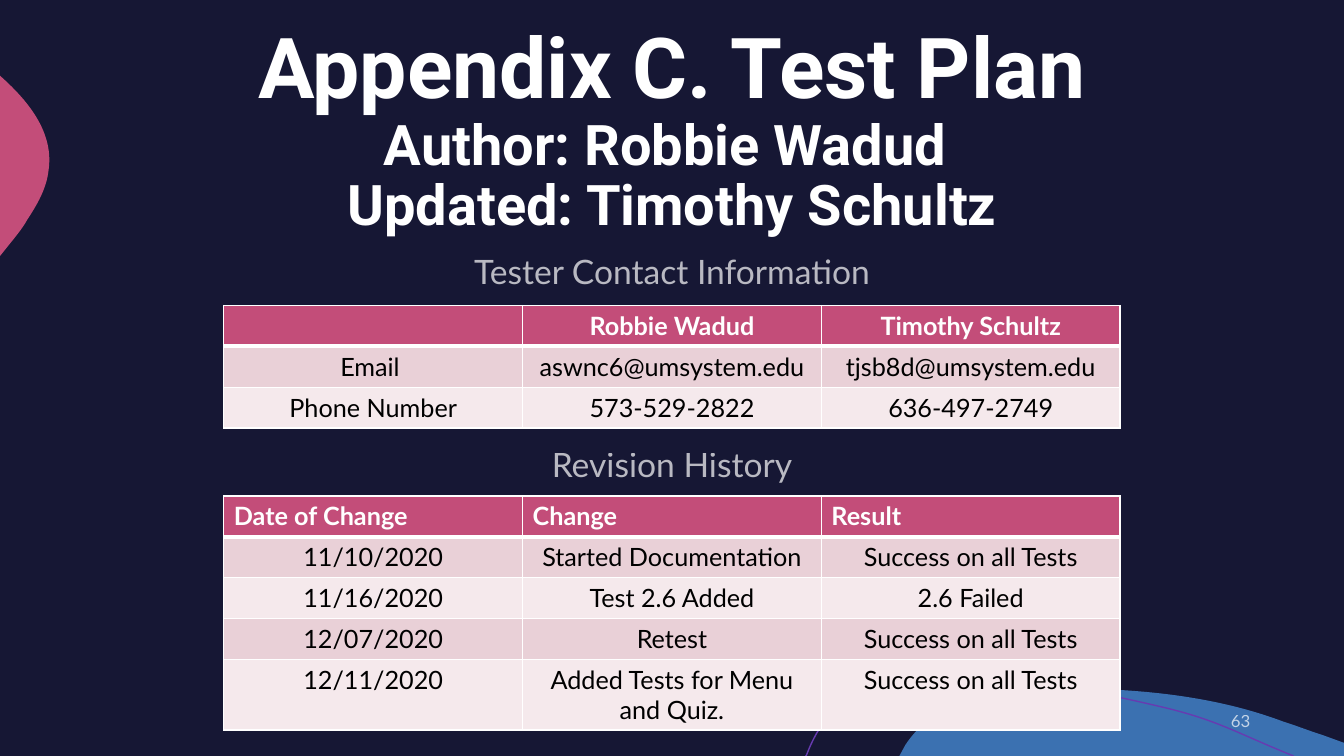
from lxml.etree import SubElement
from pptx import Presentation
from pptx.dml.color import RGBColor
from pptx.enum.text import MSO_ANCHOR, PP_ALIGN
from pptx.oxml import parse_xml
from pptx.oxml.ns import nsdecls, qn
from pptx.util import Inches, Pt

NAVY = RGBColor(0x16, 0x17, 0x34)
BLUE = RGBColor(0x3B, 0x71, 0xB1)
PINK = RGBColor(0xC3, 0x4D, 0x79)
PURPLE = RGBColor(0x67, 0x3B, 0xB1)
WHITE = RGBColor(0xFF, 0xFF, 0xFF)
BLACK = RGBColor(0x00, 0x00, 0x00)
BANDS = (RGBColor(0xF5, 0xE9, 0xEC), RGBColor(0xE9, 0xD0, 0xD7))

ROW_POINTS = 29.2

BLUE_WAVE = [
    (10.54, 6.83),
    (11.28, 6.83, 12.04, 6.9, 12.73, 7.16),
    (12.86, 7.2, 12.98, 7.25, 13.11, 7.29),
    (13.33, 7.37), (13.33, 7.5), (8.92, 7.5), (8.98, 7.39),
    (9.02, 7.33, 9.06, 7.28, 9.11, 7.23),
    (9.39, 6.93, 9.82, 6.84, 10.23, 6.83),
    (10.33, 6.83, 10.43, 6.83, 10.54, 6.83),
]
PINK_BULGE = [
    (0, 0.75), (0.01, 0.76),
    (0.3, 1.02, 0.54, 1.33, 0.48, 1.7),
    (0.46, 1.87, 0.37, 2.03, 0.27, 2.18),
    (0.24, 2.24, 0.17, 2.33, 0.08, 2.44),
    (0, 2.54),
]
PURPLE_WAVE = [
    (7.99, 7.5), (8, 7.49),
    (8.06, 7.33, 8.14, 7.19, 8.24, 7.08),
    (8.5, 6.81, 8.89, 6.73, 9.26, 6.72),
    (9.55, 6.72),
    (10.22, 6.72, 11, 6.89, 11.55, 7.02),
    (12.09, 7.15, 12.26, 7.27, 12.83, 7.5),
]

CONTACTS = [
    ("", "Robbie Wadud", "Timothy Schultz"),
    ("Email ", "aswnc6@umsystem.edu", "tjsb8d@umsystem.edu"),
    ("Phone Number", "573-529-2822", "636-497-2749"),
]
REVISIONS = [
    ("Date of Change", "Change", "Result"),
    ("11/10/2020", "Started Documentation", "Success on all Tests"),
    ("11/16/2020", "Test 2.6 Added", "2.6 Failed"),
    ("12/07/2020", "Retest", "Success on all Tests"),
    ("12/11/2020", "Added Tests for Menu and Quiz.", "Success on all Tests"),
]


def write_text(paragraph, text, *, size=18, font="Lato", color=WHITE,
               bold=False, align=PP_ALIGN.CENTER, alpha=None):
    paragraph.alignment = align
    run = paragraph.add_run()
    run.text = text
    run.font.size = Pt(size)
    run.font.name = font
    run.font.bold = bold
    run.font.color.rgb = color
    if alpha is not None:
        tint = run.font.fill._xPr.find(qn("a:solidFill"))[0]
        SubElement(tint, qn("a:alpha")).set("val", str(alpha * 1000))


def add_text_area(slide, left, top, width, height, anchor=MSO_ANCHOR.MIDDLE):
    area = slide.shapes.add_textbox(
        Inches(left), Inches(top), Inches(width), Inches(height))
    area.text_frame.word_wrap = True
    area.text_frame.vertical_anchor = anchor
    return area.text_frame


def add_wave(slide, segments, *, fill=None, line=None):
    anchors = [(Inches(s[-2]), Inches(s[-1])) for s in segments]
    builder = slide.shapes.build_freeform(*anchors[0])
    builder.add_line_segments(anchors[1:], close=fill is not None)
    wave = builder.convert_to_shape()
    edges = list(wave._element.iter(qn("a:lnTo")))
    for edge, segment in zip(edges, segments[1:]):
        if len(segment) == 6:
            edge.tag = qn("a:cubicBezTo")
            for index, (x, y) in enumerate((segment[:2], segment[2:4])):
                control = edge.makeelement(qn("a:pt"), {
                    "x": str(Inches(x) - wave.left),
                    "y": str(Inches(y) - wave.top)})
                edge.insert(index, control)
    wave.shadow.inherit = False
    if fill is None:
        wave.fill.background()
    else:
        wave.fill.solid()
        wave.fill.fore_color.rgb = fill
    if line is None:
        wave.line.fill.background()
    else:
        wave.line.color.rgb = line
        wave.line.width = Pt(1)


def add_title(slide, left, top, width, height):
    frame = add_text_area(slide, left, top, width, height, MSO_ANCHOR.BOTTOM)
    heading = frame.paragraphs[0]
    heading.line_spacing = 0.9
    lines = [("Appendix C. Test Plan", 60), ("Author: Robbie Wadud ", 40),
             ("Updated: Timothy Schultz", 40)]
    for index, (text, size) in enumerate(lines):
        if index:
            heading.add_line_break()
        write_text(heading, text, size=size, font="Roboto", bold=True)


def add_captions(slide, left, top, width, height):
    frame = add_text_area(slide, left, top, width, height, MSO_ANCHOR.TOP)
    contacts, revisions = frame.paragraphs[0], frame.add_paragraph()
    revisions.space_before = Pt(102)
    for caption, text in ((contacts, "Tester Contact Information"),
                          (revisions, "Revision History")):
        caption.line_spacing = 1.25
        write_text(caption, text, size=24, alpha=70)


def set_borders(cell, bottom):
    properties = cell._tc.get_or_add_tcPr()
    widths = {"lnL": 1, "lnR": 1, "lnT": 1, "lnB": bottom}
    for index, (edge, width) in enumerate(widths.items()):
        properties.insert(index, parse_xml(
            f'<a:{edge} {nsdecls("a")} w="{Pt(width)}"><a:solidFill>'
            f'<a:srgbClr val="{WHITE}"/></a:solidFill></a:{edge}>'))


def add_grid(slide, left, top, width, rows, *, header_align=PP_ALIGN.CENTER,
             last_points=ROW_POINTS):
    heights = [Pt(ROW_POINTS)] * (len(rows) - 1) + [Pt(last_points)]
    table = slide.shapes.add_table(
        len(rows), len(rows[0]), Inches(left), Inches(top),
        Inches(width), sum(heights)).table
    for r, values in enumerate(rows):
        table.rows[r].height = heights[r]
        header = r == 0
        for c, value in enumerate(values):
            cell = table.cell(r, c)
            cell.fill.solid()
            cell.fill.fore_color.rgb = PINK if header else BANDS[r % 2]
            set_borders(cell, bottom=3 if header else 1)
            if value:
                write_text(cell.text_frame.paragraphs[0], value, bold=header,
                           color=WHITE if header else BLACK,
                           align=header_align if header else PP_ALIGN.CENTER)


def add_page_number(slide, left, top, width, height):
    frame = add_text_area(slide, left, top, width, height)
    write_text(frame.paragraphs[0], "63", size=12, align=PP_ALIGN.RIGHT,
               alpha=70)


def main():
    deck = Presentation()
    deck.slide_width = Inches(13.33)
    deck.slide_height = Inches(7.5)
    slide = deck.slides.add_slide(deck.slide_layouts[6])
    slide.background.fill.solid()
    slide.background.fill.fore_color.rgb = NAVY

    add_wave(slide, BLUE_WAVE, fill=BLUE)
    add_wave(slide, PINK_BULGE, fill=PINK)
    add_wave(slide, PURPLE_WAVE, line=PURPLE)
    add_title(slide, 0.83, -0.09, 11.67, 2.5)
    add_captions(slide, 0.83, 2.34, 11.67, 3.82)
    add_page_number(slide, 10.83, 6.95, 1.67, 0.4)
    add_grid(slide, 2.22, 3.03, 8.89, CONTACTS)
    add_grid(slide, 2.22, 4.92, 8.89, REVISIONS,
             header_align=PP_ALIGN.LEFT, last_points=50.4)
    deck.save("out.pptx")


if __name__ == "__main__":
    main()
